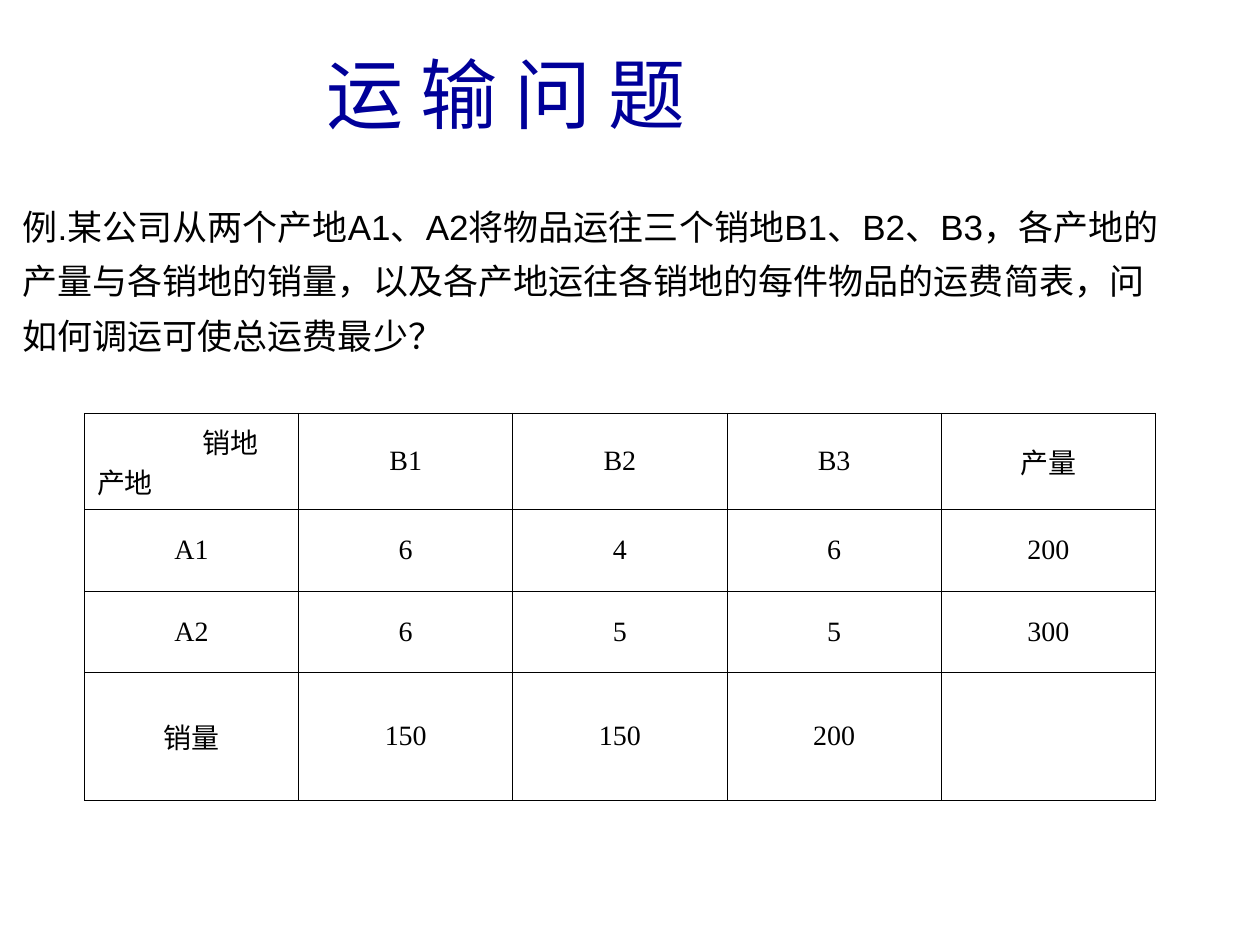
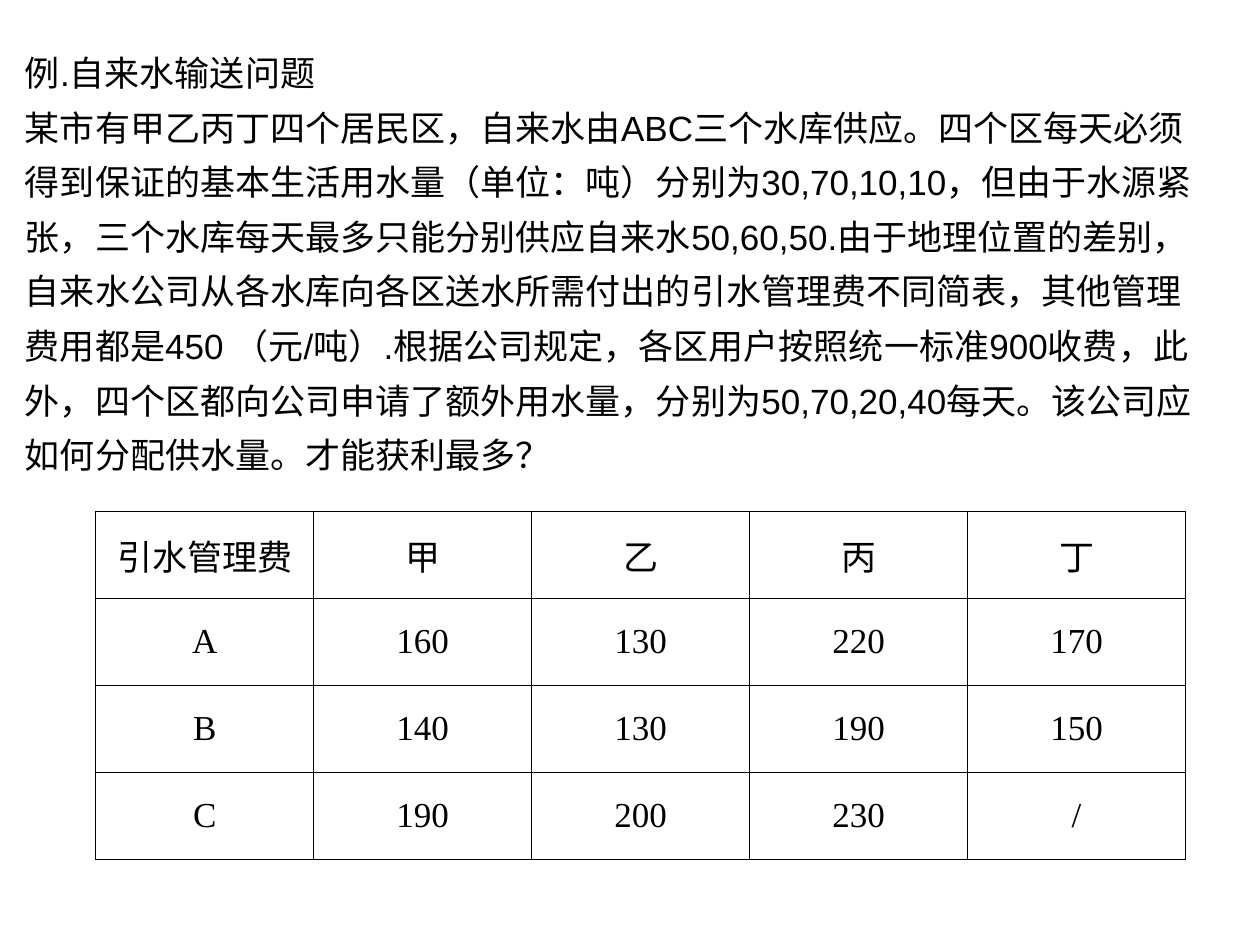
from dataclasses import dataclass

from lxml import etree
from pptx import Presentation
from pptx.dml.color import RGBColor
from pptx.enum.text import MSO_ANCHOR, MSO_AUTO_SIZE, PP_ALIGN
from pptx.oxml.ns import qn
from pptx.util import Inches, Pt

MIDDLE = MSO_ANCHOR.MIDDLE
FIT_SHAPE = MSO_AUTO_SIZE.SHAPE_TO_FIT_TEXT
CENTER, LEFT = PP_ALIGN.CENTER, PP_ALIGN.LEFT

BLACK = "000000"
TITLE_BLUE = "000099"
TEXT_FONT = "Arial"
TABLE_FONT = "Times New Roman"
BORDER_WIDTH = Pt(0.45)
CORNER_INDENT = Inches(0.84)


@dataclass
class TextBlock:
    """Lines of text in a box that holds the longest one unbroken."""
    left: float
    top: float
    width: float
    height: float
    lines: list[str]
    size: int = 20
    color: str = BLACK
    spacing: float = 1.3


@dataclass
class Grid:
    """A ruled table with columns of equal width."""
    left: float
    top: float
    col_width: float
    row_heights: list[float]
    rows: list[list[str]]
    size: int


SLIDES = [
    [
        TextBlock(2.49, 0.32, 3.06, 0.84, ["运 输 问 题"], 44, TITLE_BLUE, 1.0),
        TextBlock(0.08, 1.48, 10.01, 1.4, [
            "例.某公司从两个产地A1、A2将物品运往三个销地B1、B2、B3，各产地的",
            "产量与各销地的销量，以及各产地运往各销地的每件物品的运费简表，问",
            "如何调运可使总运费最少？",
        ]),
        Grid(0.67, 3.28, 1.7, [0.76, 0.65, 0.65, 1.01], [
            ["销地\n产地", "B1", "B2", "B3", "产量"],
            ["A1", "6", "4", "6", "200"],
            ["A2", "6", "5", "5", "300"],
            ["销量", "150", "150", "200", ""],
        ], 16),
    ],
    [
        TextBlock(0.1, 0.26, 9.96, 3.57, [
            "例.自来水输送问题",
            "某市有甲乙丙丁四个居民区，自来水由ABC三个水库供应。四个区每天必须",
            "得到保证的基本生活用水量（单位：吨）分别为30,70,10,10，但由于水源紧",
            "张，三个水库每天最多只能分别供应自来水50,60,50.由于地理位置的差别，",
            "自来水公司从各水库向各区送水所需付出的引水管理费不同简表，其他管理",
            "费用都是450 （元/吨）.根据公司规定，各区用户按照统一标准900收费，此",
            "外，四个区都向公司申请了额外用水量，分别为50,70,20,40每天。该公司应",
            "如何分配供水量。才能获利最多？",
        ]),
        Grid(0.76, 4.06, 1.73, [0.69] * 4, [
            ["引水管理费", "甲", "乙", "丙", "丁"],
            ["A", "160", "130", "220", "170"],
            ["B", "140", "130", "190", "150"],
            ["C", "190", "200", "230", "/"],
        ], 20),
    ],
]


def rgb(value: str) -> RGBColor:
    """Turn a hex string into a colour."""
    return RGBColor.from_string(value)


def set_font(p, name: str, size: int, color: str) -> None:
    """Set the font of a whole paragraph."""
    p.font.name = name
    p.font.size = Pt(size)
    p.font.color.rgb = rgb(color)


def add_text(s, block: TextBlock) -> None:
    """Draw a text block, one paragraph a line."""
    sp = s.shapes.add_textbox(Inches(block.left), Inches(block.top),
                              Inches(block.width), Inches(block.height))
    tf = sp.text_frame
    tf.word_wrap = True
    tf.auto_size = FIT_SHAPE
    tf.margin_right = 0
    tf.text = "\n".join(block.lines)
    for p in tf.paragraphs:
        p.line_spacing = block.spacing
        set_font(p, TEXT_FONT, block.size, block.color)


def add_borders(cell) -> None:
    """Rule all four sides of a cell."""
    tc_pr = cell._tc.get_or_add_tcPr()
    for i, side in enumerate(("lnL", "lnR", "lnT", "lnB")):
        ln = etree.Element(qn(f"a:{side}"), w=str(BORDER_WIDTH))
        fill = etree.SubElement(ln, qn("a:solidFill"))
        etree.SubElement(fill, qn("a:srgbClr"), val=BLACK)
        tc_pr.insert(i, ln)


def fill_cell(cell, text: str, size: int) -> None:
    """Write and rule a cell; two lines make a split corner heading."""
    cell.text = text
    cell.vertical_anchor = MIDDLE
    cell.fill.background()
    add_borders(cell)
    paragraphs = cell.text_frame.paragraphs
    is_corner = len(paragraphs) > 1
    for p in paragraphs:
        p.alignment = LEFT if is_corner else CENTER
        set_font(p, TABLE_FONT, size, BLACK)
    if is_corner:
        paragraphs[0]._p.get_or_add_pPr().set("marL", str(CORNER_INDENT))


def add_grid(s, grid: Grid) -> None:
    """Draw a grid as a plain ruled table."""
    n_cols = len(grid.rows[0])
    table = s.shapes.add_table(
        len(grid.rows), n_cols, Inches(grid.left), Inches(grid.top),
        Inches(grid.col_width * n_cols), Inches(sum(grid.row_heights))).table
    table.first_row = False
    table.horz_banding = False
    for col in table.columns:
        col.width = Inches(grid.col_width)
    for row, height, texts in zip(table.rows, grid.row_heights, grid.rows):
        row.height = Inches(height)
        for cell, text in zip(row.cells, texts):
            fill_cell(cell, text, grid.size)


def main() -> None:
    """Build and save the presentation."""
    prs = Presentation()
    prs.slide_width, prs.slide_height = Inches(10), Inches(7.5)
    draw = {TextBlock: add_text, Grid: add_grid}
    for items in SLIDES:
        s = prs.slides.add_slide(prs.slide_layouts[6])
        for item in items:
            draw[type(item)](s, item)
    prs.save("out.pptx")


if __name__ == "__main__":
    main()
